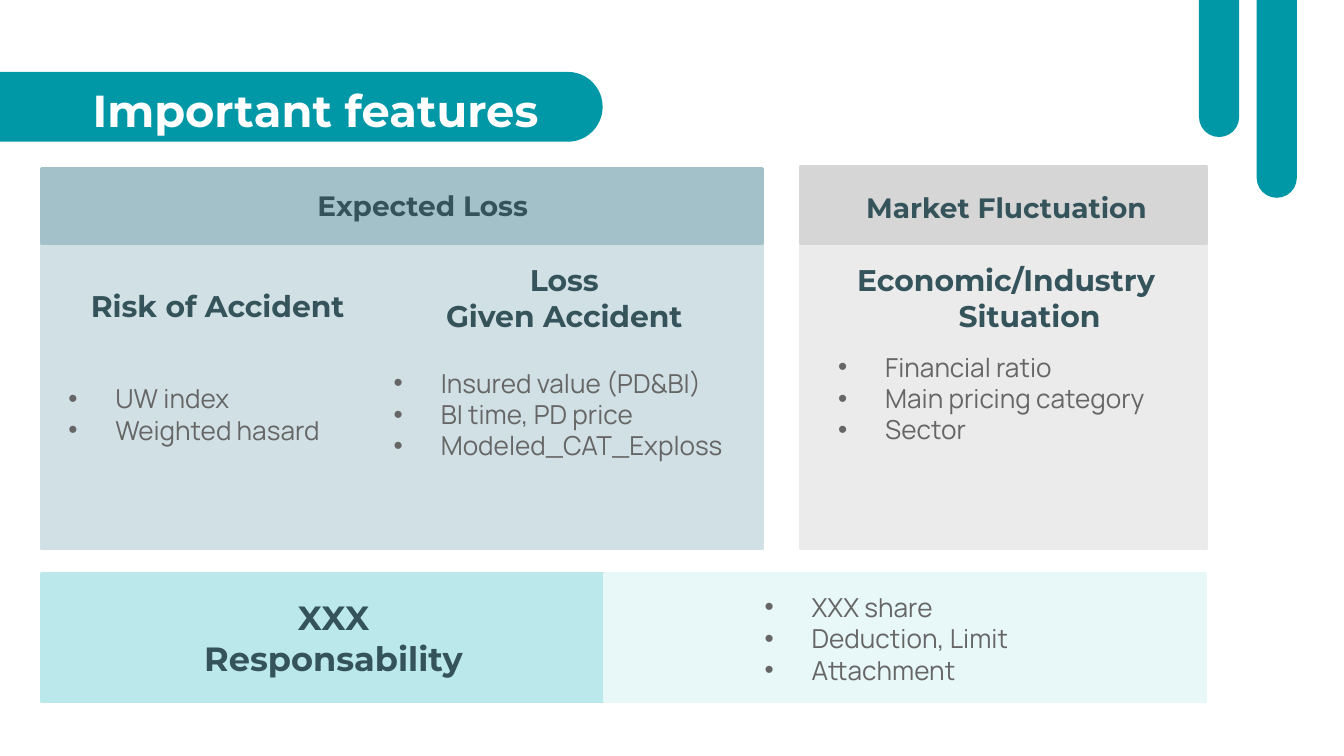
import pptx
import pptx.util
import pptx.dml.color
import pptx.enum.shapes
import pptx.enum.text
import pptx.oxml
import pptx.oxml.ns
from lxml import etree

Cm, Pt = pptx.util.Cm, pptx.util.Pt
KIND = pptx.enum.shapes.MSO_SHAPE
ALIGN = pptx.enum.text.PP_ALIGN
ANCHOR = pptx.enum.text.MSO_ANCHOR

HUES = {
    "teal": "0097A7", "aqua": "BBE8EA", "mint": "E8F7F8",
    "silver": "D6D6D6", "pale": "EBEBEB", "steel": "A2C1C9",
    "mist": "D1E0E4", "ink": "35535B", "gray": "666666", "white": "FFFFFF",
}

# Left, top, width and height in cm
BARS = [(-1.08, 1.36, 12.47, 1.32), (22.66, -3.61, 0.76, 6.2),
        (23.75, -2.46, 0.76, 6.2)]
PANELS = [
    ("aqua", (0.79, 10.85, 10.64, 2.41)),
    ("mint", (11.43, 10.85, 11.35, 2.41)),
    ("pale", (15.14, 4.45, 7.65, 5.92)),
    ("silver", (15.14, 3.15, 7.65, 1.45)),
    ("mist", (0.79, 4.45, 13.61, 5.92)),
    ("steel", (0.79, 3.2, 13.61, 1.4)),
]
# Placeholder index (None for a text box), place, size, lines
HEADS = [
    (1, (0.05, 5.13, 7.75, 1.3), 16, ["Risk of Accident"]),
    (3, (6.6, 5.13, 7.75, 0.99), 16, ["Loss", "Given Accident"]),
    (None, (14.53, 5.13, 8.59, 0.99), 16, ["Economic/Industry Situation"]),
    (None, (3.15, 3.38, 9.3, 0.99), 15, ["Expected Loss"]),
    (None, (14.07, 3.4, 9.53, 1.02), 15, ["Market Fluctuation"]),
    (None, (2.24, 11.56, 7.75, 0.99), 18, ["XXX", "Responsability"]),
]
LISTS = [
    (2, (0.66, 6.96, 6.55, 1.73), ["UW index", "Weighted hasard"]),
    (4, (6.81, 6.96, 7.37, 1.73),
     ["Insured value (PD&BI)", "BI time, PD price", "Modeled_CAT_Exploss"]),
    (None, (15.21, 6.66, 7.37, 1.73),
     ["Financial ratio", "Main pricing category", "Sector"]),
    (None, (13.82, 11.2, 7.37, 1.73),
     ["XXX share", "Deduction, Limit", "Attachment"]),
]


def shade(hue):
    return pptx.dml.color.RGBColor.from_string(HUES[hue])


def block(slide, kind, place, hue):
    shape = slide.shapes.add_shape(kind, *map(Cm, place))
    shape.shadow.inherit = False
    shape.fill.solid()
    shape.fill.fore_color.rgb = shade(hue)
    return shape


def bar(slide, place):
    shape = block(slide, KIND.ROUNDED_RECTANGLE, place, "teal")
    shape.adjustments[0] = 0.5
    shape.line.fill.background()


def panel(slide, hue, place):
    shape = block(slide, KIND.RECTANGLE, place, hue)
    shape.line.color.rgb = shade(hue)
    shape.line.width = Pt(2)


def frame(slide, slot, place):
    """Place a placeholder, or a new text box, in front of the panels."""
    if slot is None:
        box = slide.shapes.add_textbox(*map(Cm, place))
    else:
        box = slide.placeholders[slot]
        box.left, box.top, box.width, box.height = map(Cm, place)
        slide.shapes._spTree.append(box._element)
    text = box.text_frame
    text.word_wrap = True
    text.auto_size = pptx.enum.text.MSO_AUTO_SIZE.NONE
    text.vertical_anchor = ANCHOR.MIDDLE
    text.margin_left = text.margin_right = Cm(0.25)
    text.margin_top = text.margin_bottom = Cm(0.25)
    return text


def write(text, lines, face, size, hue, bold=False, align=ALIGN.LEFT):
    text.text = "\n".join(lines)
    for para in text.paragraphs:
        para.alignment = align
        para.space_before = Pt(0)
        font = para.font
        font.name, font.size, font.bold = face, Pt(size), bold
        font.color.rgb = shade(hue)


def indent(text):
    for para in text.paragraphs:
        props = para._p.get_or_add_pPr()
        props.set("marL", str(Cm(1.27)))
        props.set("indent", str(Cm(-0.89)))


def dot(text):
    """Put a gray bullet before each paragraph."""
    qn = pptx.oxml.ns.qn
    for para in text.paragraphs:
        base = para._p.pPr.find(qn("a:defRPr"))
        color = etree.Element(qn("a:buClr"))
        etree.SubElement(color, qn("a:srgbClr"), val=HUES["gray"])
        face = etree.Element(qn("a:buFont"), typeface="Arial")
        mark = etree.Element(qn("a:buChar"), char="•")
        for part in (color, face, mark):
            base.addprevious(part)


def title(slide):
    text = frame(slide, 0, (1.5, 1.32, 9.8, 1.6))
    text.vertical_anchor = ANCHOR.TOP
    write(text, ["Important features"], "Montserrat", 24, "white", True)


def head(slide, slot, place, size, lines):
    text = frame(slide, slot, place)
    write(text, lines, "Montserrat", size, "ink", True, ALIGN.CENTER)
    indent(text)


def items(slide, slot, place, lines):
    text = frame(slide, slot, place)
    write(text, lines, "Manrope", 14, "gray")
    indent(text)
    dot(text)


def main():
    deck = pptx.Presentation()
    deck.slide_width, deck.slide_height = Cm(25.4), Cm(14.29)
    slide = deck.slides.add_slide(deck.slide_layouts.get_by_name("Comparison"))
    for place in BARS:
        bar(slide, place)
    for hue, place in PANELS:
        panel(slide, hue, place)
    for row in HEADS:
        head(slide, *row)
    for row in LISTS:
        items(slide, *row)
    title(slide)
    deck.save("out.pptx")


if __name__ == "__main__":
    main()
